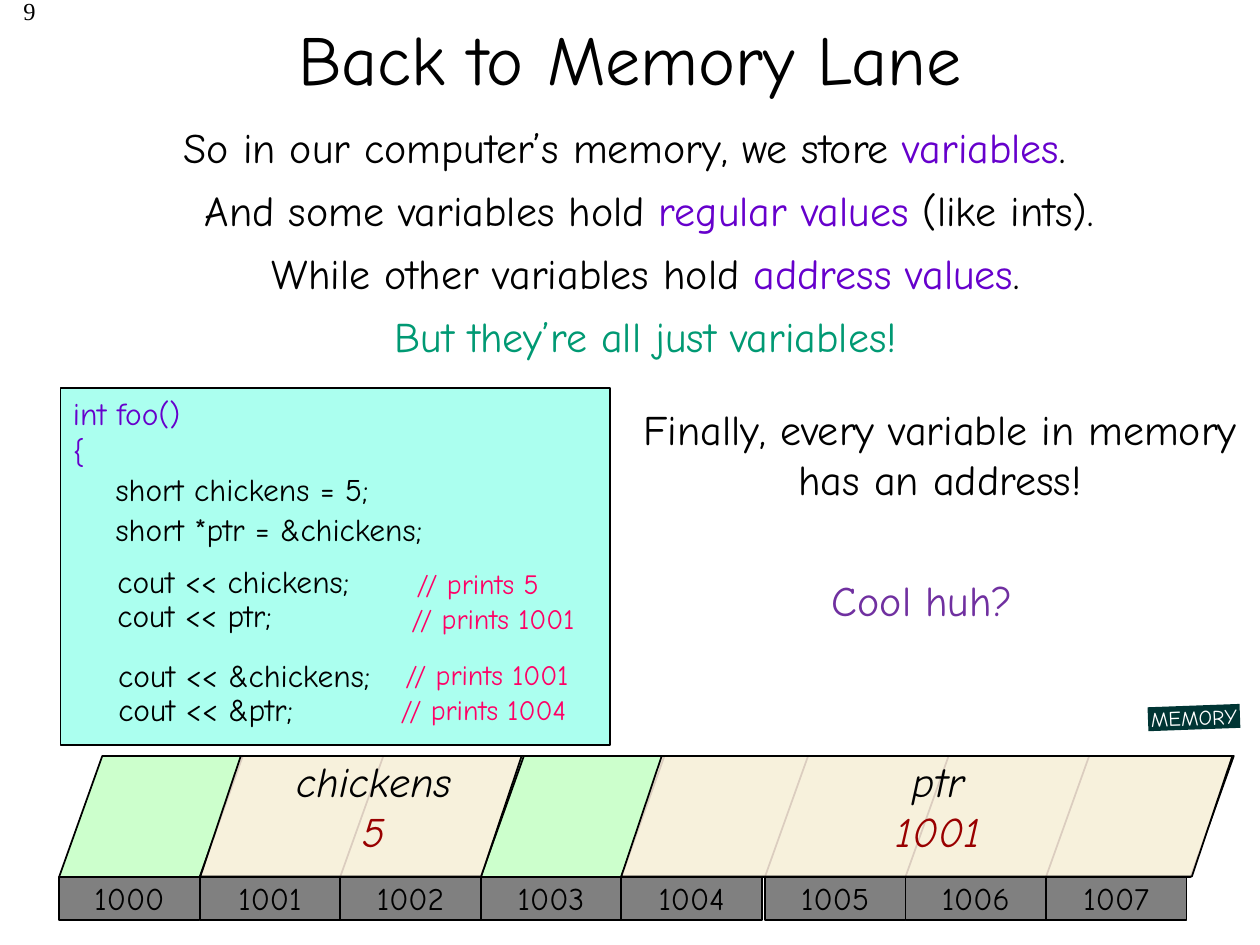
from lxml.etree import SubElement
from pptx import Presentation
from pptx.dml.color import RGBColor
from pptx.enum.shapes import MSO_SHAPE as Shape
from pptx.enum.text import MSO_ANCHOR as Anchor, PP_ALIGN as Align
from pptx.oxml.ns import qn
from pptx.util import Pt

FONT = "Comic Neue"
BLACK = RGBColor(0, 0, 0)
WHITE = RGBColor(255, 255, 255)
VIOLET = RGBColor(0x66, 0, 0xCC)
PURPLE = RGBColor(0x70, 0x30, 0xA0)
TEAL = RGBColor(0, 0x99, 0x73)
PINK = RGBColor(0xFF, 0, 0x66)
RED = RGBColor(0x99, 0, 0)
AQUA = RGBColor(0xAB, 0xFF, 0xEF)
MINT = RGBColor(0xCC, 0xFF, 0xCC)
CREAM = RGBColor(0xFF, 0xEF, 0xDF)
GREY = RGBColor(0x80, 0x80, 0x80)
DARK = RGBColor(0, 0x35, 0x34)

# Content: a paragraph is a list of (text, colour)
TITLE = "Back to Memory Lane"
STATEMENTS = [  # left, paragraph
    (24, [("So in our computer’s memory, we store ", BLACK), ("variables", VIOLET), (".", BLACK)]),
    (38, [("And some variables hold ", BLACK), ("regular values ", VIOLET), ("(like ints).", BLACK)]),
    (36, [("While other variables hold ", BLACK), ("address values", VIOLET), (".", BLACK)]),
    (36, [("But they’re all just variables!", TEAL)]),
]
REMARKS = [  # left, top, height, paragraph
    (348.5, 226.8, 65.5, [("Finally, every variable in memory has an address!", BLACK)]),
    (338.4, 324.7, 36, [("Cool huh?", PURPLE)]),
]
FUNCTION_HEAD = ["int foo()", "{"]
CODE = [  # left, top, width, text
    (59, 265, 175, "short chickens = 5;"),
    (59, 288, 212, "short *ptr = &chickens;"),
    (60, 317.5, 154, "cout << chickens;"),
    (60, 337, 109, "cout << ptr;"),
    (60.5, 371.5, 166, "cout << &chickens;"),
    (60.5, 391, 120, "cout << &ptr;"),
]
COMMENTS = [  # left, top, text
    (231, 320.4, "// prints 5"),
    (228, 340, "// prints 1001"),
    (224.6, 372.2, "// prints 1001"),
    (221.8, 392.4, "// prints 1004"),
]
ADDRESSES = range(1000, 1008)
VARIABLES = [  # left, width, name, value, text left, text width
    (114.5, 183.6, "chickens", "5", 162, 103),
    (355, 349.2, "ptr", "1001", 503.3, 65.5),
]
LANE_LEFT, LANE_TOP, PITCH = 33.8, 432, 80.3
CELL_WIDTH, CELL_HEIGHT, LABEL_TOP = 107.3, 69.1, 501.1


def write(box, paragraphs, size, align=Align.LEFT, font=FONT, wrap=False, italic=None):
    frame = box.text_frame
    frame.word_wrap = wrap
    for index, spans in enumerate(paragraphs):
        para = frame.add_paragraph() if index else frame.paragraphs[0]
        para.alignment = align
        for text, colour in spans:
            span = para.add_run()
            span.text = text
            span.font.size, span.font.name, span.font.italic = Pt(size), font, italic
            span.font.color.rgb = colour


def add_text(place, paragraphs, size, **options):
    box = page.shapes.add_textbox(*map(Pt, place))
    write(box, paragraphs, size, **options)


def add_block(kind, place, fill, outlined=True):
    block = page.shapes.add_shape(kind, *map(Pt, place))
    block.shadow.inherit = False
    block.fill.solid()
    block.fill.fore_color.rgb = fill
    if outlined:
        block.line.color.rgb, block.line.width = BLACK, Pt(1)
    else:
        block.line.fill.background()
    block.text_frame.vertical_anchor = Anchor.MIDDLE
    return block


def cell_left(index):
    # The second half of the lane sits slightly apart from the first
    return LANE_LEFT + PITCH * index + (1.8 if index > 4 else 0)


deck = Presentation()
deck.slide_width, deck.slide_height = Pt(720), Pt(540)
page = deck.slides.add_slide(deck.slide_layouts[5])

# Title and page number
title = page.shapes.title
title.left, title.top, title.width, title.height = Pt(54), Pt(-12), Pt(612), Pt(90)
title.text_frame.vertical_anchor = Anchor.MIDDLE
write(title, [[(TITLE, BLACK)]], 40, align=Align.CENTER, wrap=True)
add_text((0, -6, 27.4, 36), [[("9", BLACK)]], 14, align=Align.RIGHT, font="Times New Roman")

# Statements and remarks
for row, (left, spans) in enumerate(STATEMENTS):
    add_text((left, 66.2 + 36 * row, 666, 36), [spans], 24, align=Align.CENTER, wrap=True)
for left, top, height, spans in REMARKS:
    add_text((left, top, 377.3, height), [spans], 24, align=Align.CENTER, wrap=True)

# Code panel
panel = add_block(Shape.RECTANGLE, (34.6, 221.8, 313.9, 203.8), AQUA)
panel.text_frame.vertical_anchor = Anchor.TOP
write(panel, [[(line, VIOLET)] for line in FUNCTION_HEAD], 18, wrap=True)
for left, top, width, text in CODE:
    add_text((left, top, width, 29), [[(text, BLACK)]], 18)
for left, top, text in COMMENTS:
    add_text((left, top, 120, 26.6), [[(text, PINK)]], 16)

# Memory lane: cells, then the variables lying across them, then addresses
for index in range(len(ADDRESSES)):
    cell = add_block(Shape.PARALLELOGRAM,
                     (cell_left(index), LANE_TOP, CELL_WIDTH, CELL_HEIGHT), MINT)
    cell.adjustments[0] = 0.357
for left, width, name, value, text_left, text_width in VARIABLES:
    cover = add_block(Shape.PARALLELOGRAM, (left, LANE_TOP, width, 68.8), CREAM)
    cover.adjustments[0] = 0.336
    colour = cover.fill._xPr.find(qn("a:solidFill"))[0]
    SubElement(colour, qn("a:alpha")).set("val", "86000")
    add_text((text_left, 428, text_width, 65.5), [[(name, BLACK)], [(value, RED)]], 24,
             align=Align.CENTER, italic=True)
for index, address in enumerate(ADDRESSES):
    label = add_block(Shape.RECTANGLE, (cell_left(index), LABEL_TOP, PITCH, 24.5), GREY)
    write(label, [[(str(address), BLACK)]], 18, align=Align.CENTER)

# Memory sign
sign = add_block(Shape.RECTANGLE, (656, 403.2, 52.6, 13.7), DARK, outlined=False)
sign.rotation = 357.9
write(sign, [[("MEMORY", WHITE)]], 12, align=Align.CENTER)

deck.save("out.pptx")
